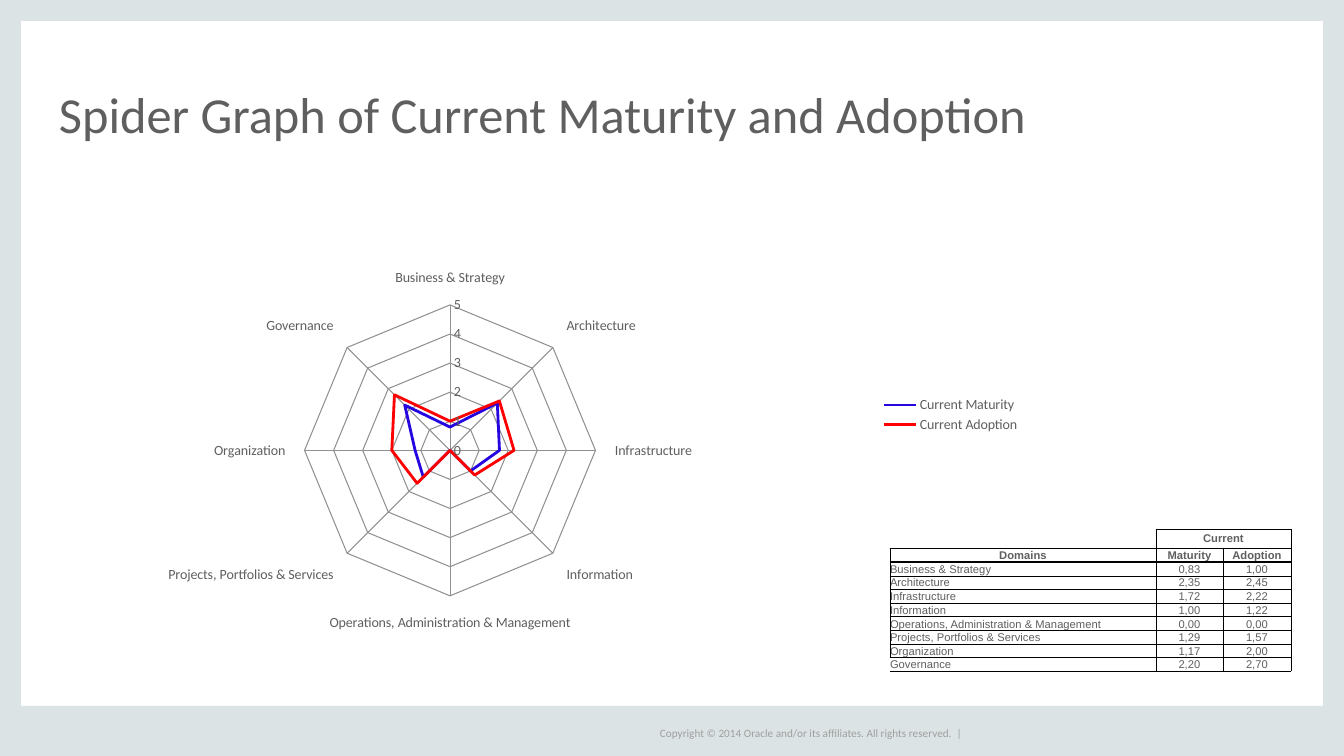
from lxml.etree import SubElement
from pptx import Presentation
from pptx.chart.data import CategoryChartData
from pptx.dml.color import RGBColor
from pptx.enum.chart import XL_CHART_TYPE, XL_LEGEND_POSITION, XL_TICK_MARK
from pptx.enum.shapes import MSO_SHAPE
from pptx.enum.text import MSO_ANCHOR, PP_ALIGN
from pptx.oxml import parse_xml
from pptx.oxml.ns import nsdecls, qn
from pptx.util import Pt

# Content
TITLE = "Spider Graph of Current Maturity and Adoption"
COPYRIGHT = "Copyright © 2014 Oracle and/or its affiliates. All rights reserved.  |"
GROUP = "Current"
DOMAINS = [
    ("Business & Strategy", "0,83", "1,00"),
    ("Architecture", "2,35", "2,45"),
    ("Infrastructure", "1,72", "2,22"),
    ("Information", "1,00", "1,22"),
    ("Operations, Administration & Management", "0,00", "0,00"),
    ("Projects, Portfolios & Services", "1,29", "1,57"),
    ("Organization", "1,17", "2,00"),
    ("Governance", "2,20", "2,70"),
]
CHART_VALUES = {
    "Maturity": [0.8, 2.3, 1.7, 1, 0, 1.3, 1.2, 2.2],
    "Adoption": [1, 2.4, 2.2, 1.2, 0, 1.6, 2, 2.7],
}

# Format
COLORS = {"frame": "DCE3E4", "text": "5F5F5F", "copyright": "9F9F9F", "border": "000000",
          "grid": "909090", "Maturity": "2506E0", "Adoption": "FF0000"}
TITLE_FONT = {"name": "Calibri", "size": Pt(36)}
COPYRIGHT_FONT = {"name": "Calibri", "size": Pt(8)}
CHART_FONT = {"name": "Calibri", "size": Pt(10)}
HEADER_FONT = {"name": "Arial", "size": Pt(8), "bold": True}
BODY_FONT = {**HEADER_FONT, "bold": False}
NO_MARGINS = {"margin_left": 0, "margin_top": 0, "margin_right": 0, "margin_bottom": 0}

# Places in px
PAGE = (1344, 756)
FRAME = [(0, 0, 21, 755), (1323, 1, 21, 755), (0, 706, 1344, 50), (0, 0, 1344, 21)]
TITLE_BOX = (59, 45, 1227, 98)
COPYRIGHT_BOX = (660, 723, 307, 20)
CHART_BOX = (67, 168, 963, 494)
PLOT_BOX = (285, 305, 330, 291)
TABLE_CORNER = (890, 529)
COLUMNS = [266, 67, 68]
ROWS = [19, 14] + [14, 13] * 3 + [13, 13]


def emu(pixels):
    return round(pixels * 914400 / 100.8)


def place(area):
    return [emu(length) for length in area]


def set_all(target, values):
    for name, value in values.items():
        setattr(target, name, value)


def set_font(font, values, color="text"):
    set_all(font, values)
    font.color.rgb = RGBColor.from_string(COLORS[color])


def set_line(line, color, width):
    line.color.rgb = RGBColor.from_string(COLORS[color])
    line.width = Pt(width)


def add_text(page, area, text, font, color, frame_values):
    frame = page.shapes.add_textbox(*place(area)).text_frame
    set_all(frame, {**NO_MARGINS, **frame_values})
    para = frame.paragraphs[0]
    span = para.add_run()
    span.text = text
    set_font(span.font, font, color)
    return para


def add_radar(page):
    data = CategoryChartData(number_format="0.0")
    data.categories = [row[0] for row in DOMAINS]
    for measure, values in CHART_VALUES.items():
        data.add_series(f"{GROUP} {measure}", values)
    chart = page.shapes.add_chart(XL_CHART_TYPE.RADAR, *place(CHART_BOX), data).chart
    set_font(chart.font, CHART_FONT)
    set_all(chart, {"has_title": False, "has_legend": True})
    set_all(chart.legend, {"position": XL_LEGEND_POSITION.RIGHT, "include_in_layout": False})
    plot = chart.plots[0]
    plot.vary_by_categories = False
    for series, measure in zip(plot.series, CHART_VALUES):
        series.smooth = False
        set_line(series.format.line, measure, 2)

    # Axes and web
    set_all(chart.value_axis, {"minimum_scale": 0, "maximum_scale": 5, "major_unit": 1})
    set_all(chart.value_axis.tick_labels, {"number_format": "0", "number_format_is_linked": False})
    for axis in (chart.category_axis, chart.value_axis):
        set_all(axis, {"major_tick_mark": XL_TICK_MARK.NONE, "minor_tick_mark": XL_TICK_MARK.NONE,
                       "has_major_gridlines": True})
        set_line(axis.format.line, "grid", 0.75)
        set_line(axis.major_gridlines.format.line, "grid", 0.75)

    # Inner plot area, as shares of the chart
    area = chart.element.find(".//" + qn("c:plotArea"))
    for layout in area.findall(qn("c:layout")):
        area.remove(layout)
    left, top, width, height = CHART_BOX
    plot_left, plot_top, plot_width, plot_height = PLOT_BOX
    shares = {"x": (plot_left - left) / width, "y": (plot_top - top) / height,
              "w": plot_width / width, "h": plot_height / height}
    sizes = "".join(f'<c:{key} val="{share:.4f}"/>' for key, share in shares.items())
    area.insert(0, parse_xml(
        f'<c:layout {nsdecls("c")}><c:manualLayout><c:layoutTarget val="inner"/>'
        f'<c:xMode val="edge"/><c:yMode val="edge"/>{sizes}</c:manualLayout></c:layout>'))


def set_borders(cell, widths):
    for index, side in enumerate("LRTB"):
        width = widths.get(side, 0)
        fill = (f'<a:solidFill><a:srgbClr val="{COLORS["border"]}"/></a:solidFill>'
                if width else "<a:noFill/>")
        line = parse_xml(f'<a:ln{side} {nsdecls("a")} w="{Pt(width)}">{fill}</a:ln{side}>')
        cell._tc.get_or_add_tcPr().insert(index, line)


def border_widths(row, column):
    if (row, column) == (0, 0):
        return {"R": 0.5, "B": 0.5}
    widths = dict.fromkeys("LRTB", 0.5)
    if row == 1:
        widths["B"] = 2
    if row == 2:
        widths["T"] = 2
    if (row, column) == (len(ROWS) - 1, 0):
        del widths["L"]
    return widths


def add_scores(page):
    rows = [["", GROUP, ""], ["Domains", *CHART_VALUES], *DOMAINS]
    area = (*TABLE_CORNER, sum(COLUMNS), sum(ROWS))
    table = page.shapes.add_table(len(ROWS), len(COLUMNS), *place(area)).table
    set_all(table, {"first_row": False, "horz_banding": False})
    for column, width in zip(table.columns, COLUMNS):
        column.width = emu(width)
    for row, height in zip(table.rows, ROWS):
        row.height = emu(height)
    table.cell(0, 1).merge(table.cell(0, 2))
    for row, texts in enumerate(rows):
        for column, text in enumerate(texts):
            cell = table.cell(row, column)
            set_all(cell, {**NO_MARGINS, "vertical_anchor":
                           MSO_ANCHOR.BOTTOM if row else MSO_ANCHOR.MIDDLE})
            cell.fill.background()
            set_borders(cell, border_widths(row, column))
            para = cell.text_frame.paragraphs[0]
            if not text:
                SubElement(para._p, qn("a:endParaRPr"), sz="800")
                continue
            para.alignment = PP_ALIGN.LEFT if row > 1 and column == 0 else PP_ALIGN.CENTER
            span = para.add_run()
            span.text = text
            set_font(span.font, HEADER_FONT if row < 2 else BODY_FONT)


def main():
    deck = Presentation()
    deck.slide_width, deck.slide_height = place(PAGE)
    page = deck.slides.add_slide(deck.slide_layouts[6])

    # Frame around the page
    for area in FRAME:
        band = page.shapes.add_shape(MSO_SHAPE.RECTANGLE, *place(area))
        band.shadow.inherit = False
        band.fill.solid()
        band.fill.fore_color.rgb = RGBColor.from_string(COLORS["frame"])
        band.line.fill.background()

    # Copyright line and title
    add_text(page, COPYRIGHT_BOX, COPYRIGHT, COPYRIGHT_FONT, "copyright",
             {"word_wrap": False, "vertical_anchor": MSO_ANCHOR.MIDDLE})
    heading = add_text(page, TITLE_BOX, TITLE, TITLE_FONT, "text",
                       {"word_wrap": True, "vertical_anchor": MSO_ANCHOR.BOTTOM})
    heading.line_spacing = 0.8

    # Scores and chart
    add_scores(page)
    add_radar(page)
    deck.save("out.pptx")


if __name__ == "__main__":
    main()
